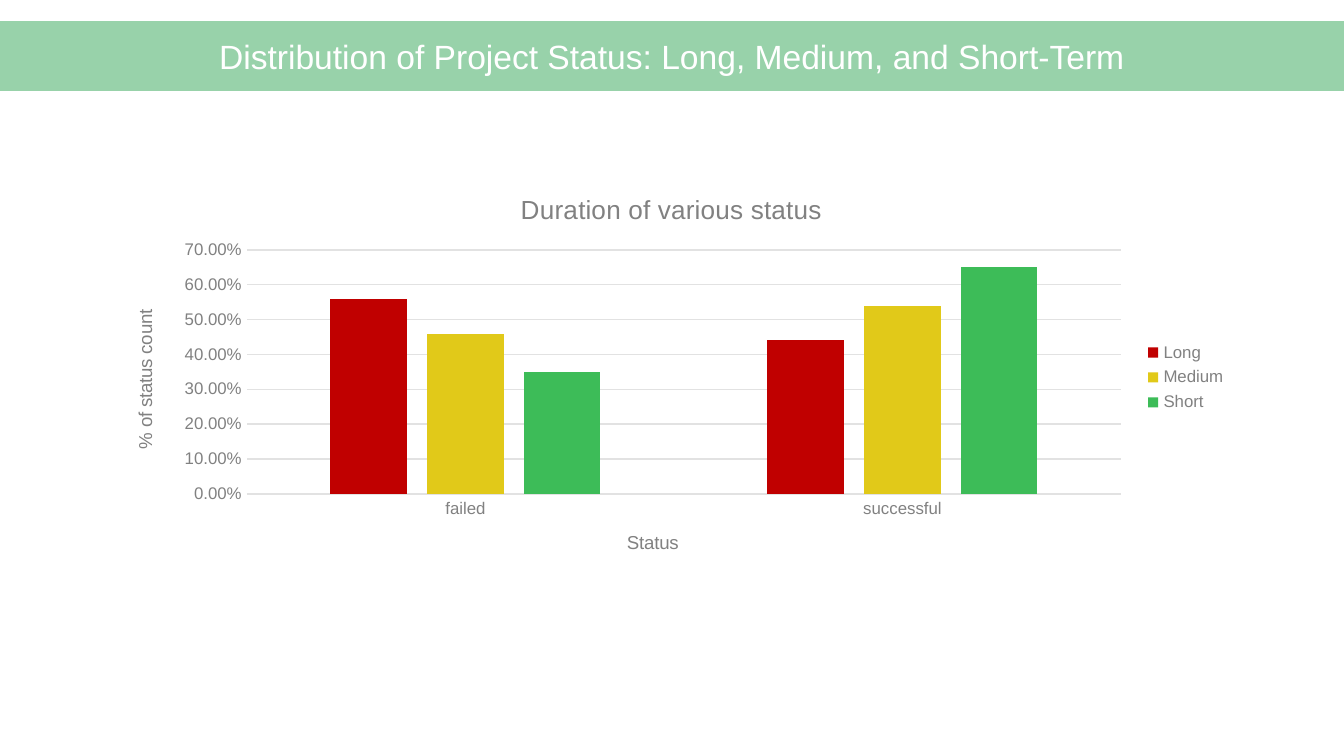
from dataclasses import dataclass

from lxml.etree import SubElement
from pptx import Presentation
from pptx.chart.data import CategoryChartData as ChartData
from pptx.dml.color import RGBColor as Color
from pptx.enum.chart import XL_CHART_TYPE as ChartType
from pptx.enum.chart import XL_LEGEND_POSITION as LegendPosition
from pptx.enum.chart import XL_TICK_MARK as TickMark
from pptx.enum.shapes import MSO_SHAPE as Shape
from pptx.enum.text import MSO_ANCHOR as Anchor
from pptx.enum.text import PP_ALIGN as Align
from pptx.oxml.ns import qn
from pptx.util import Emu, Pt


@dataclass(frozen=True)
class Theme:
    font: str = "Arial"
    banner: str = "98D2AA"
    white: str = "FFFFFF"
    label: str = "818181"
    grid: str = "E2E2E2"
    banner_size: int = 18
    title_size: int = 14
    axis_title_size: int = 10
    label_size: int = 9


THEME = Theme()
PAGE = (1344, 756)
BANNER = (-39, 23, 1422, 66)
CHART = (103, 173, 1137, 409)
PLOT = (247, 250, 874, 244)
CATEGORIES = ("failed", "successful")
SERIES = (
    ("Long", "C00000", (0.56, 0.44)),
    ("Medium", "E1C919", (0.46, 0.54)),
    ("Short", "3DBC58", (0.35, 0.65)),
)


def px(length):
    """Turn pixels, 134.4 to the inch, into EMU."""
    return Emu(round(length * 914400 / 134.4))


def style_font(font, size, color):
    font.name = THEME.font
    font.size = Pt(size)
    font.bold = False
    font.color.rgb = Color.from_string(color)


def style_line(line, color, width):
    line.color.rgb = Color.from_string(color)
    line.width = Pt(width)


def write_text(frame, text, *, size, color, align=Align.CENTER):
    para = frame.paragraphs[0]
    para.alignment = align
    span = para.add_run()
    span.text = text
    style_font(span.font, size, color)


def add_banner(page, text):
    box = page.shapes.add_shape(Shape.RECTANGLE, *map(px, BANNER))
    box.shadow.inherit = False
    box.fill.solid()
    box.fill.fore_color.rgb = Color.from_string(THEME.banner)
    style_line(box.line, THEME.banner, 2)
    box.text_frame.word_wrap = True
    box.text_frame.vertical_anchor = Anchor.MIDDLE
    write_text(box.text_frame, text, size=THEME.banner_size, color=THEME.white)


def place_plot(chart):
    """Fix the inner plot area as fractions of the chart frame."""
    left, top, width, height = CHART
    x, y, w, h = PLOT
    plot_area = chart.plots[0]._element.getparent()
    layout = plot_area.find(qn("c:layout"))
    if layout is None:
        layout = SubElement(plot_area, qn("c:layout"))
        plot_area.insert(0, layout)
    manual = SubElement(layout, qn("c:manualLayout"))
    settings = {
        "layoutTarget": "inner", "xMode": "edge", "yMode": "edge",
        "x": (x - left) / width, "y": (y - top) / height,
        "w": w / width, "h": h / height,
    }
    for name, value in settings.items():
        SubElement(manual, qn(f"c:{name}")).set("val", str(value))


def style_axis(axis, title):
    axis.major_tick_mark = axis.minor_tick_mark = TickMark.NONE
    style_font(axis.tick_labels.font, THEME.label_size, THEME.label)
    write_text(axis.axis_title.text_frame, title,
               size=THEME.axis_title_size, color=THEME.label)


def add_status_chart(page):
    data = ChartData(number_format="0.00%")
    data.categories = CATEGORIES
    for name, _, values in SERIES:
        data.add_series(name, values)
    chart = page.shapes.add_chart(
        ChartType.COLUMN_CLUSTERED, *map(px, CHART), data).chart
    style_font(chart.font, THEME.axis_title_size, THEME.label)
    write_text(chart.chart_title.text_frame, "Duration of various status",
               size=THEME.title_size, color=THEME.label)
    chart.chart_title.include_in_layout = False

    # Columns
    plot = chart.plots[0]
    plot.vary_by_categories = False
    plot.gap_width, plot.overlap = 219, -27
    for series, (_, color, _) in zip(plot.series, SERIES):
        series.format.fill.solid()
        series.format.fill.fore_color.rgb = Color.from_string(color)
    place_plot(chart)

    # Axes
    style_axis(chart.category_axis, "Status")
    style_line(chart.category_axis.format.line, THEME.grid, 0.75)
    scale = chart.value_axis
    style_axis(scale, "% of status count")
    scale.minimum_scale, scale.maximum_scale, scale.major_unit = 0, 0.7, 0.1
    scale.tick_labels.number_format = "0.00%"
    scale.tick_labels.number_format_is_linked = False
    scale.format.line.fill.background()
    style_line(scale.major_gridlines.format.line, THEME.grid, 0.75)

    # Legend
    chart.has_legend = True
    chart.legend.position = LegendPosition.RIGHT
    chart.legend.include_in_layout = False
    style_font(chart.legend.font, THEME.label_size, THEME.label)


def main():
    deck = Presentation()
    deck.slide_width, deck.slide_height = map(px, PAGE)
    page = deck.slides.add_slide(deck.slide_layouts[6])
    add_status_chart(page)
    add_banner(page, "Distribution of Project Status: Long, Medium, and Short-Term")
    deck.save("out.pptx")


if __name__ == "__main__":
    main()
